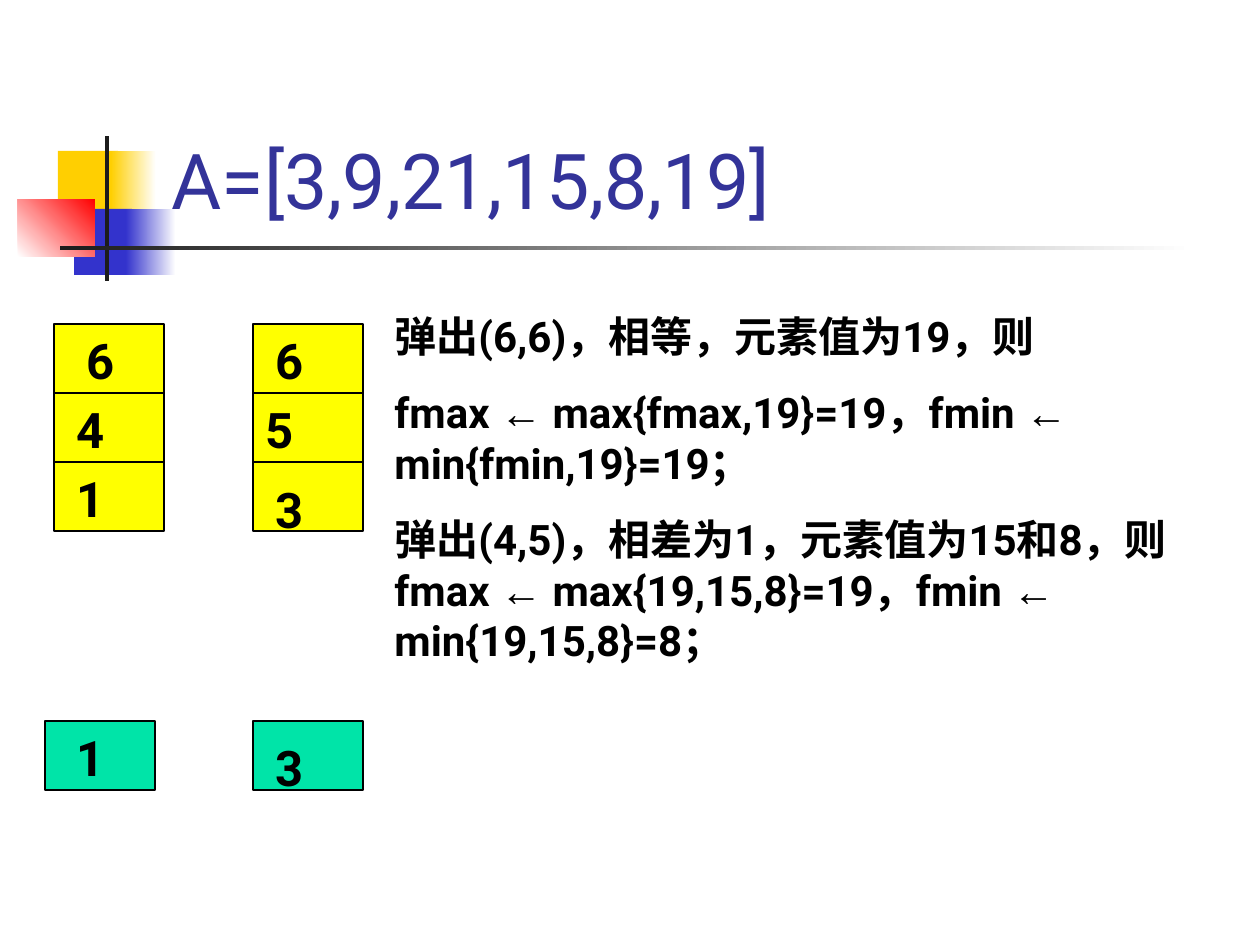
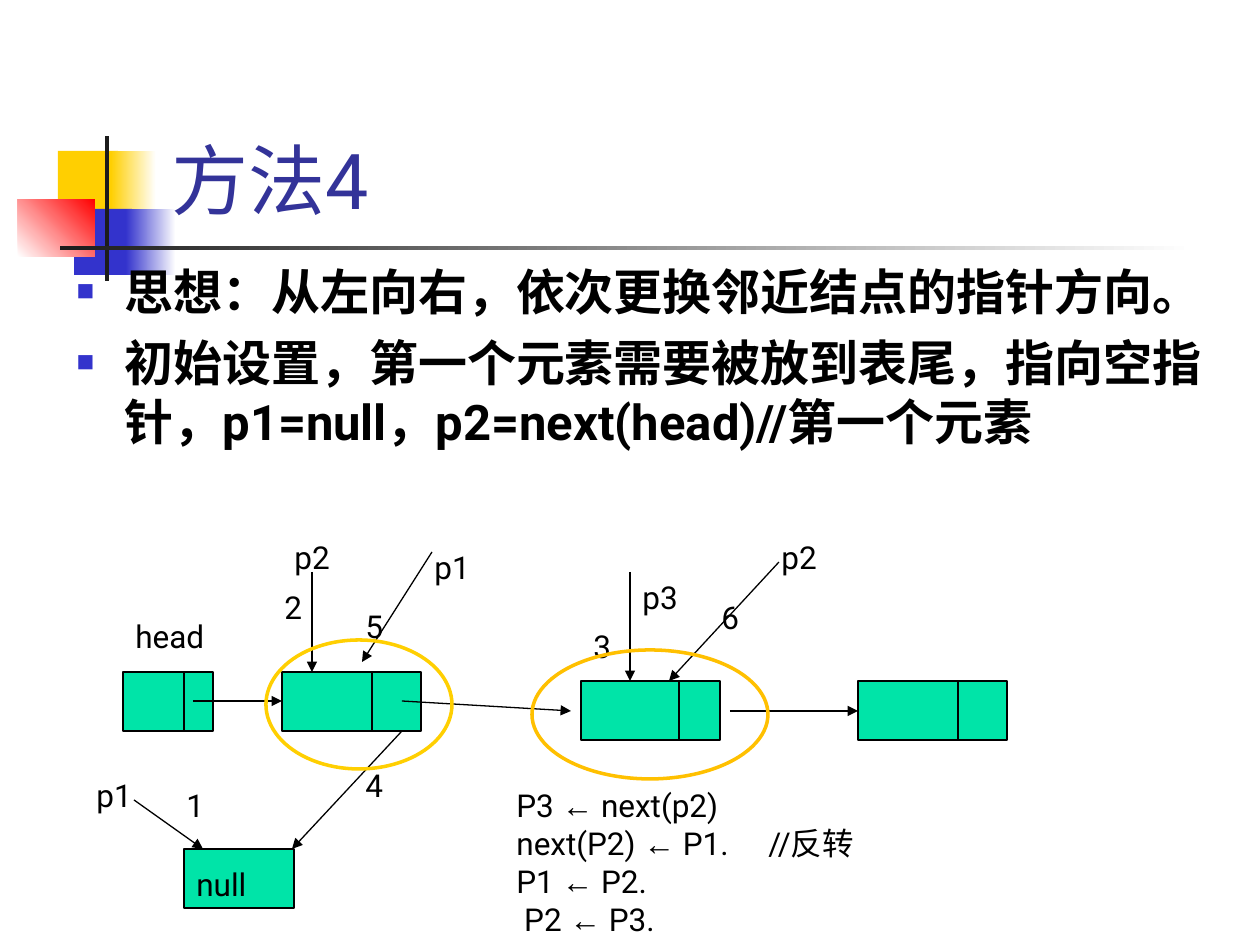
import itertools
from dataclasses import dataclass

import lxml.etree
import pptx
import pptx.dml.color
import pptx.enum.shapes
import pptx.enum.text
import pptx.oxml.ns
import pptx.util

EMU_PER_PX = 914400 / 126
FONT = "Roboto"
ARROW_FONT = "Arial"
ASSIGN = "←"
RECTANGLE = pptx.enum.shapes.MSO_SHAPE.RECTANGLE
OVAL = pptx.enum.shapes.MSO_SHAPE.OVAL
COLORS = {
    "title": "333399",
    "text": "000000",
    "paper": "FFFFFF",
    "gold": "FFCF01",
    "amber": "FFC000",
    "blue": "3333CC",
    "red": "FF0000",
    "bar": "1C1C1C",
    "stack": "FFFF00",
    "node": "00E4A8",
}


@dataclass(frozen=True)
class Frame:
    left: int
    top: int
    width: int
    height: int


@dataclass(frozen=True)
class Band:
    frame: Frame
    start: str
    end: str = ""
    angle: int = 0


@dataclass(frozen=True)
class Style:
    size: int
    bold: bool = False
    color: str = "text"
    space_before: int = 0


@dataclass(frozen=True)
class StackCell:
    value: str
    left: int
    top: int
    label_left: int
    label_top: int
    fill: str = "stack"


@dataclass(frozen=True)
class Node:
    left: int
    top: int
    width: int
    divider: int


@dataclass(frozen=True)
class Line:
    x1: int
    y1: int
    x2: int
    y2: int


@dataclass(frozen=True)
class Label:
    text: str
    left: int
    top: int
    width: int


@dataclass(frozen=True)
class Ring:
    frame: Frame
    color: str


BANDS = [
    Band(Frame(58, 151, 60, 66), "gold"),
    Band(Frame(111, 151, 45, 66), "gold", "paper"),
    Band(Frame(74, 209, 58, 66), "blue"),
    Band(Frame(126, 209, 50, 66), "blue", "paper"),
    Band(Frame(18, 199, 77, 58), "paper", "red", 45),
    Band(Frame(105, 136, 4, 145), "bar"),
    Band(Frame(60, 246, 1134, 4), "bar", "paper"),
]
TITLE_FRAME = Frame(159, 29, 1074, 202)
TITLE_STYLE = Style(44, color="title")
BODY_STYLE = Style(28, True, space_before=7)
STEP_STYLE = Style(24, True, space_before=15)
VALUE_STYLE = Style(28, True)
LABEL_STYLE = Style(18)

CELL_WIDTH, CELL_HEIGHT = 110, 69
STACK_CELLS = [
    StackCell("1", 54, 462, 64, 462),
    StackCell("3", 253, 462, 263, 473),
    StackCell("4", 54, 393, 64, 393),
    StackCell("5", 253, 393, 253, 393),
    StackCell("6", 54, 324, 74, 324),
    StackCell("6", 253, 324, 263, 324),
    StackCell("1", 45, 721, 64, 721, "node"),
    StackCell("3", 253, 721, 263, 731, "node"),
]
STEPS = [
    "弹出(6,6)，相等，元素值为19，则",
    "fmax ← max{fmax,19}=19，fmin ← min{fmin,19}=19；",
    "弹出(4,5)，相差为1，元素值为15和8，则fmax ← max{19,15,8}=19，fmin ← min{19,15,8}=8；",
]

IDEAS = [
    "思想：从左向右，依次更换邻近结点的指针方向。",
    "初始设置，第一个元素需要被放到表尾，指向空指针，p1=null，p2=next(head)//第一个元素",
]
NODE_HEIGHT = 59
NODES = [
    Node(123, 672, 90, 184),
    Node(282, 672, 139, 372),
    Node(581, 681, 139, 679),
    Node(858, 681, 149, 958),
]
NULL_FRAME = Frame(184, 849, 110, NODE_HEIGHT)
POINTERS = [
    Line(193, 701, 282, 701),
    Line(402, 701, 571, 711),
    Line(730, 711, 858, 711),
    Line(312, 572, 312, 672),
    Line(630, 572, 630, 681),
    Line(432, 552, 362, 662),
    Line(134, 800, 203, 849),
    Line(402, 731, 292, 849),
    Line(779, 562, 669, 681),
]
LABELS = [
    Label("head", 123, 611, 100),
    Label("p2", 282, 532, 79),
    Label("2", 272, 582, 30),
    Label("p3", 630, 572, 79),
    Label("3", 581, 621, 50),
    Label("4", 353, 760, 49),
    Label("5", 353, 601, 30),
    Label("p1", 422, 542, 69),
    Label("null", 184, 859, 100),
    Label("p1", 84, 770, 69),
    Label("1", 174, 780, 59),
    Label("p2", 769, 532, 69),
    Label("6", 709, 592, 40),
]
CODE = ["P3 ← next(p2)", "next(P2) ← P1.\t//反转", "P1 ← P2.", " P2 ← P3."]
RINGS = [
    Ring(Frame(266, 640, 186, 129), "gold"),
    Ring(Frame(532, 650, 236, 129), "amber"),
]


def px(length: int) -> pptx.util.Emu:
    return pptx.util.Emu(round(length * EMU_PER_PX))


def rgb(name: str) -> pptx.dml.color.RGBColor:
    return pptx.dml.color.RGBColor.from_string(COLORS[name])


def place(frame: Frame) -> tuple:
    return px(frame.left), px(frame.top), px(frame.width), px(frame.height)


def add_element(parent, tag: str, **attributes: str):
    return lxml.etree.SubElement(parent, pptx.oxml.ns.qn(tag), attributes)


def write(text_frame, texts: list[str], style: Style) -> None:
    text_frame.word_wrap = True
    text_frame.auto_size = pptx.enum.text.MSO_AUTO_SIZE.NONE
    for index, text in enumerate(texts):
        para = text_frame.add_paragraph() if index else text_frame.paragraphs[0]
        para.alignment = pptx.enum.text.PP_ALIGN.LEFT
        para.space_before = pptx.util.Pt(style.space_before if index else 0)
        for is_arrow, letters in itertools.groupby(text, lambda letter: letter == ASSIGN):
            span = para.add_run()
            span.text = "".join(letters)
            span.font.name = ARROW_FONT if is_arrow else FONT
            span.font.size = pptx.util.Pt(style.size)
            span.font.bold = style.bold
            span.font.color.rgb = rgb(style.color)


def add_text(page, frame: Frame, texts: list[str], style: Style):
    box = page.shapes.add_textbox(*place(frame))
    write(box.text_frame, texts, style)
    return box


def fill_placeholder(box, frame: Frame, texts: list[str], style: Style) -> None:
    box.left, box.top, box.width, box.height = place(frame)
    write(box.text_frame, texts, style)


def add_box(page, frame: Frame, fill: str):
    box = page.shapes.add_shape(RECTANGLE, *place(frame))
    box.shadow.inherit = False
    box.fill.solid()
    box.fill.fore_color.rgb = rgb(fill)
    box.line.color.rgb = rgb("text")
    box.line.width = pptx.util.Pt(0.75)
    return box


def add_line(page, line: Line, arrow: bool = False) -> None:
    connector = page.shapes.add_connector(
        pptx.enum.shapes.MSO_CONNECTOR.STRAIGHT,
        px(line.x1), px(line.y1), px(line.x2), px(line.y2),
    )
    connector.line.color.rgb = rgb("text")
    connector.line.width = pptx.util.Pt(0.75)
    if arrow:
        add_element(connector.line._get_or_add_ln(), "a:tailEnd", type="triangle")
    add_element(connector.element.spPr, "a:effectLst")


def add_ring(page, ring: Ring) -> None:
    oval = page.shapes.add_shape(OVAL, *place(ring.frame))
    oval.shadow.inherit = False
    oval.fill.background()
    oval.line.color.rgb = rgb(ring.color)
    oval.line.width = pptx.util.Pt(2)


def move_bands_to_master(deck, page) -> None:
    master_tree = deck.slide_master.shapes.element
    for index, band in enumerate(BANDS):
        box = add_box(page, band.frame, band.start)
        box.line.fill.background()
        if band.end:
            box.fill.gradient()
            box.fill.gradient_angle = band.angle
            for stop, color in zip(box.fill.gradient_stops, (band.start, band.end)):
                stop.color.rgb = rgb(color)
        box.element.nvSpPr.cNvPr.set("id", str(100 + index))
        master_tree.insert(2 + index, box.element)


def add_page(deck, layout_name: str, title: str):
    page = deck.slides.add_slide(deck.slide_layouts.get_by_name(layout_name))
    fill_placeholder(page.shapes.title, TITLE_FRAME, [title], TITLE_STYLE)
    page.shapes.title.text_frame.vertical_anchor = pptx.enum.text.MSO_ANCHOR.BOTTOM
    return page


def add_square_bullets(box) -> None:
    indent = px(48)
    for para in box.text_frame.paragraphs:
        properties = para._p.get_or_add_pPr()
        properties.set("marL", str(indent))
        properties.set("indent", str(-indent))
        color = add_element(properties, "a:buClr")
        add_element(color, "a:srgbClr", val=COLORS["blue"])
        add_element(properties, "a:buSzPct", val="60000")
        add_element(properties, "a:buFont", typeface=ARROW_FONT)
        add_element(properties, "a:buChar", char="■")


def add_code(page) -> None:
    box = add_text(page, Frame(441, 780, 635, 165), CODE, LABEL_STYLE)
    for para in box.text_frame.paragraphs:
        properties = para._p.get_or_add_pPr()
        properties.set("marL", str(px(63)))
        properties.set("indent", "0")
        tabs = add_element(properties, "a:tabLst")
        add_element(tabs, "a:tab", pos=str(px(252)), algn="l")


def build_stack_page(deck) -> None:
    page = add_page(deck, "Title Only", "A=[3,9,21,15,8,19]")
    move_bands_to_master(deck, page)
    for cell in STACK_CELLS:
        add_box(page, Frame(cell.left, cell.top, CELL_WIDTH, CELL_HEIGHT), cell.fill)
        add_text(page, Frame(cell.label_left, cell.label_top, 79, 72), [cell.value], VALUE_STYLE)
    add_text(page, Frame(382, 304, 828, 522), STEPS, STEP_STYLE)


def build_list_page(deck) -> None:
    page = add_page(deck, "Title and Content", "方法4")
    body = page.placeholders[1]
    fill_placeholder(body, Frame(64, 255, 1171, 238), IDEAS, BODY_STYLE)
    add_square_bullets(body)
    for node in NODES:
        add_box(page, Frame(node.left, node.top, node.width, NODE_HEIGHT), "node")
        add_line(page, Line(node.divider, node.top, node.divider, node.top + NODE_HEIGHT))
    add_box(page, NULL_FRAME, "node")
    for pointer in POINTERS:
        add_line(page, pointer, arrow=True)
    for label in LABELS:
        add_text(page, Frame(label.left, label.top, label.width, 50), [label.text], LABEL_STYLE)
    add_code(page)
    for ring in RINGS:
        add_ring(page, ring)


def main() -> None:
    deck = pptx.Presentation()
    deck.slide_width, deck.slide_height = px(1260), px(945)
    build_stack_page(deck)
    build_list_page(deck)
    deck.save("out.pptx")


if __name__ == "__main__":
    main()
